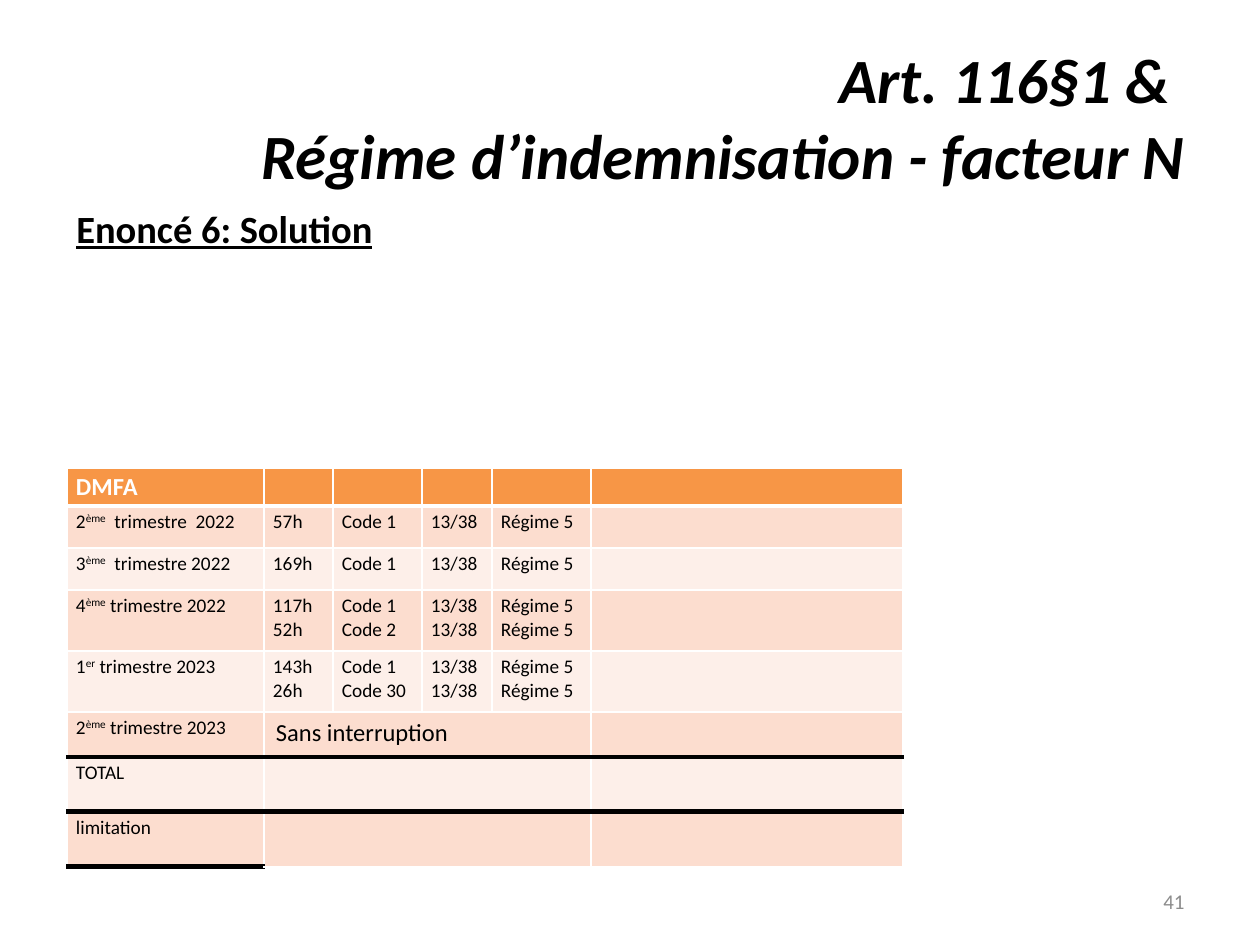
import lxml.etree
import pptx
import pptx.dml.color
import pptx.enum.text
import pptx.oxml.ns
import pptx.util

PX = 914400 // 126
ALIGN = pptx.enum.text.PP_ALIGN
ANCHOR = pptx.enum.text.MSO_ANCHOR
BLACK, WHITE, GREY = "000000", "FFFFFF", "8C8C8C"
HEADER, DARK_BAND, LIGHT_BAND = "F79646", "FCDDCF", "FDEFE9"

COLUMN_WIDTHS = [197, 69, 89, 70, 99, 312]
ROW_HEIGHTS = [38, 42, 42, 61, 61, 45, 55, 55]
# A pair of ^ encloses superscript; a line break starts a new paragraph.
ROWS = [
    ["DMFA"],
    ["2^ème^  trimestre  2022", "57h", "Code 1", "13/38", "Régime 5"],
    ["3^ème^  trimestre 2022", "169h", "Code 1", "13/38", "Régime 5"],
    ["4^ème^ trimestre 2022", "117h\n52h", "Code 1\nCode 2",
     "13/38\n13/38", "Régime 5\nRégime 5"],
    ["1^er^ trimestre 2023", "143h\n26h", "Code 1\nCode 30",
     "13/38\n13/38", "Régime 5\nRégime 5"],
    ["2^ème^ trimestre 2023", "Sans interruption"],
    ["TOTAL"],
    ["limitation"],
]
FIRST_MERGED_ROW = 5
LAST_ROW = len(ROWS) - 1


def px(length):
    return pptx.util.Emu(length * PX)


def rgb(value):
    return pptx.dml.color.RGBColor.from_string(value)


def rule_below(row, column):
    """Colour and width in points of the line under a cell."""
    if row == 0:
        return WHITE, 3
    if row in (5, 6) or (row == LAST_ROW and column == 0):
        return BLACK, 3
    return WHITE, 1


class SlideBuilder:
    font_name = "Calibri"

    def __init__(self, slide):
        self.slide = slide

    def style(self, run, size, color=BLACK, bold=False, italic=False, underline=False):
        font = run.font
        font.name, font.size = self.font_name, pptx.util.Pt(size)
        font.color.rgb = rgb(color)
        font.bold, font.italic, font.underline = bold, italic, underline

    def text(self, box, words, align=ALIGN.LEFT, anchor=ANCHOR.TOP, **style):
        frame = self.slide.shapes.add_textbox(*map(px, box)).text_frame
        frame.word_wrap = True
        frame.vertical_anchor = anchor
        frame.text = words
        for paragraph in frame.paragraphs:
            paragraph.alignment = align
            for run in paragraph.runs:
                self.style(run, **style)

    def table(self, left, top, widths, heights):
        shape = self.slide.shapes.add_table(
            len(heights), len(widths), px(left), px(top), px(sum(widths)), px(sum(heights)))
        table = shape.table
        table.first_row = table.horz_banding = False
        for column, width in zip(table.columns, widths):
            column.width = px(width)
        for row, height in zip(table.rows, heights):
            row.height = px(height)
        return table

    def cell(self, cell, words, fill, above, below, margins, **style):
        cell.margin_left = cell.margin_right = px(margins[0])
        cell.margin_top = cell.margin_bottom = px(margins[1])
        self.borders(cell, L=(WHITE, 1), R=(WHITE, 1), T=above, B=below)
        cell.fill.solid()
        cell.fill.fore_color.rgb = rgb(fill)
        frame = cell.text_frame
        for index, line in enumerate(words.split("\n")):
            paragraph = frame.add_paragraph() if index else frame.paragraphs[0]
            for part, piece in enumerate(line.split("^")):
                if piece:
                    run = paragraph.add_run()
                    run.text = piece
                    self.style(run, **style)
                    if part % 2:
                        run._r.get_or_add_rPr().set("baseline", "30000")
            if not line:
                lxml.etree.SubElement(paragraph._p, pptx.oxml.ns.qn("a:endParaRPr"),
                                      sz=str(style["size"] * 100))

    def borders(self, cell, **sides):
        qn = pptx.oxml.ns.qn
        properties = cell._tc.get_or_add_tcPr()
        for side, (color, width) in sides.items():
            line = lxml.etree.SubElement(properties, qn(f"a:ln{side}"),
                                         w=str(pptx.util.Pt(width)))
            solid = lxml.etree.SubElement(line, qn("a:solidFill"))
            lxml.etree.SubElement(solid, qn("a:srgbClr"), val=color)


def main():
    deck = pptx.Presentation()
    deck.slide_width, deck.slide_height = px(1260), px(945)
    builder = SlideBuilder(deck.slides.add_slide(deck.slide_layouts[6]))

    builder.text((63, 38, 1134, 157), "Art. 116§1 & \vRégime d’indemnisation - facteur N",
                 ALIGN.RIGHT, ANCHOR.MIDDLE, size=36, bold=True, italic=True)
    builder.text((903, 876, 294, 50), "41", ALIGN.RIGHT, ANCHOR.MIDDLE, size=12, color=GREY)
    builder.text((64, 199, 1134, 257), "Enoncé 6: Solution", size=22, bold=True, underline=True)

    quarters = builder.table(67, 468, COLUMN_WIDTHS, ROW_HEIGHTS)
    for row, entries in enumerate(ROWS):
        band = DARK_BAND if row % 2 else LIGHT_BAND
        for column in range(len(COLUMN_WIDTHS)):
            words = entries[column] if column < len(entries) else ""
            note = row == FIRST_MERGED_ROW and column == 1
            header = row == 0
            builder.cell(
                quarters.cell(row, column), words, HEADER if header else band,
                above=(WHITE, 1) if header else rule_below(row - 1, column),
                below=rule_below(row, column),
                margins=(12, 6) if note else (9, 4),
                size=14 if header or note else 11,
                color=WHITE if header else BLACK, bold=header)
        if row >= FIRST_MERGED_ROW:
            quarters.cell(row, 1).merge(quarters.cell(row, 4))

    deck.save("out.pptx")


if __name__ == "__main__":
    main()
